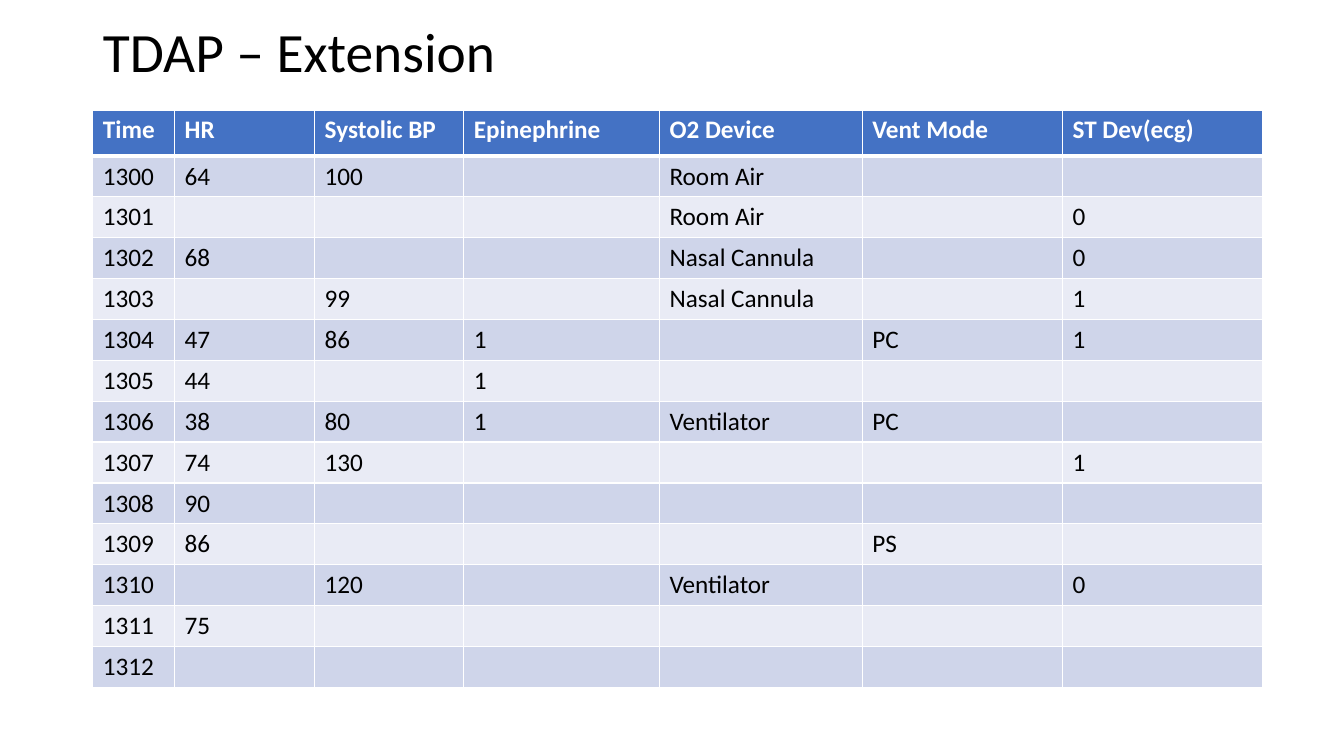
import lxml.etree
import pptx
import pptx.dml.color
import pptx.enum.text
import pptx.oxml.ns
import pptx.util

Cm = pptx.util.Cm
COLORS = {"title": "000000", "header": "4472C4", "header_text": "FFFFFF",
          "odd_row": "CFD5EA", "even_row": "E9EBF5", "body_text": "000000",
          "rule": "FFFFFF"}
FONT = "Calibri"

COLUMN_WIDTHS = [2.06, 3.53, 3.76, 4.93, 5.11, 5.05, 5.05]
HEADER_HEIGHT = 1.16
ROW_HEIGHT = 1.03
READINGS = [
    ["Time", "HR", "Systolic BP", "Epinephrine", "O2 Device", "Vent Mode", "ST Dev(ecg)"],
    ["1300", "64", "100", "", "Room Air", "", ""],
    ["1301", "", "", "", "Room Air", "", "0"],
    ["1302", "68", "", "", "Nasal Cannula", "", "0"],
    ["1303", "", "99", "", "Nasal Cannula", "", "1"],
    ["1304", "47", "86", "1", "", "PC", "1"],
    ["1305", "44", "", "1", "", "", ""],
    ["1306", "38", "80", "1", "Ventilator", "PC", ""],
    ["1307", "74", "130", "", "", "", "1"],
    ["1308", "90", "", "", "", "", ""],
    ["1309", "86", "", "", "", "PS", ""],
    ["1310", "", "120", "", "Ventilator", "", "0"],
    ["1311", "75", "", "", "", "", ""],
    ["1312", "", "", "", "", "", ""],
]


def rgb(name):
    return pptx.dml.color.RGBColor.from_string(COLORS[name])


def write_text(tf, text, size=18, color="body_text", bold=False, line_spacing=None):
    p = tf.paragraphs[0]
    p.line_spacing = line_spacing
    p.alignment = pptx.enum.text.PP_ALIGN.LEFT
    r = p.add_run()
    r.text = text
    r.font.name = FONT
    r.font.size = pptx.util.Pt(size)
    r.font.bold = bold
    r.font.color.rgb = rgb(color)


def add_title(s, text, left, top, width, height):
    sp = s.shapes.title
    sp.left, sp.top, sp.width, sp.height = Cm(left), Cm(top), Cm(width), Cm(height)
    tf = sp.text_frame
    tf.vertical_anchor = pptx.enum.text.MSO_ANCHOR.MIDDLE
    tf.auto_size = pptx.enum.text.MSO_AUTO_SIZE.NONE
    write_text(tf, text, size=39.6, color="title", line_spacing=0.9)


def set_bottom_border(cell, color, points):
    qn = pptx.oxml.ns.qn
    line = lxml.etree.Element(qn("a:lnB"), w=str(pptx.util.Pt(points)))
    fill = lxml.etree.SubElement(line, qn("a:solidFill"))
    lxml.etree.SubElement(fill, qn("a:srgbClr"), val=COLORS[color])
    cell._tc.get_or_add_tcPr().insert(0, line)


def add_readings_table(s, left, top):
    heights = [HEADER_HEIGHT] + [ROW_HEIGHT] * (len(READINGS) - 1)
    table = s.shapes.add_table(len(heights), len(COLUMN_WIDTHS), Cm(left), Cm(top),
                               Cm(sum(COLUMN_WIDTHS)), Cm(sum(heights))).table
    for column, width in zip(table.columns, COLUMN_WIDTHS):
        column.width = Cm(width)
    for i, (values, height) in enumerate(zip(READINGS, heights)):
        table.rows[i].height = Cm(height)
        is_header = i == 0
        fill = "header" if is_header else "odd_row" if i % 2 else "even_row"
        for j, value in enumerate(values):
            cell = table.cell(i, j)
            cell.fill.solid()
            cell.fill.fore_color.rgb = rgb(fill)
            if is_header:
                set_bottom_border(cell, "rule", 3)
            if value:
                write_text(cell.text_frame, value, bold=is_header,
                           color="header_text" if is_header else "body_text")


def main():
    prs = pptx.Presentation()
    prs.slide_width, prs.slide_height = Cm(33.87), Cm(19.05)
    s = prs.slides.add_slide(prs.slide_layouts[5])
    add_title(s, "TDAP – Extension", 2.34, 0.41, 29.21, 1.93)
    add_readings_table(s, 2.34, 2.77)
    prs.save("out.pptx")


if __name__ == "__main__":
    main()
